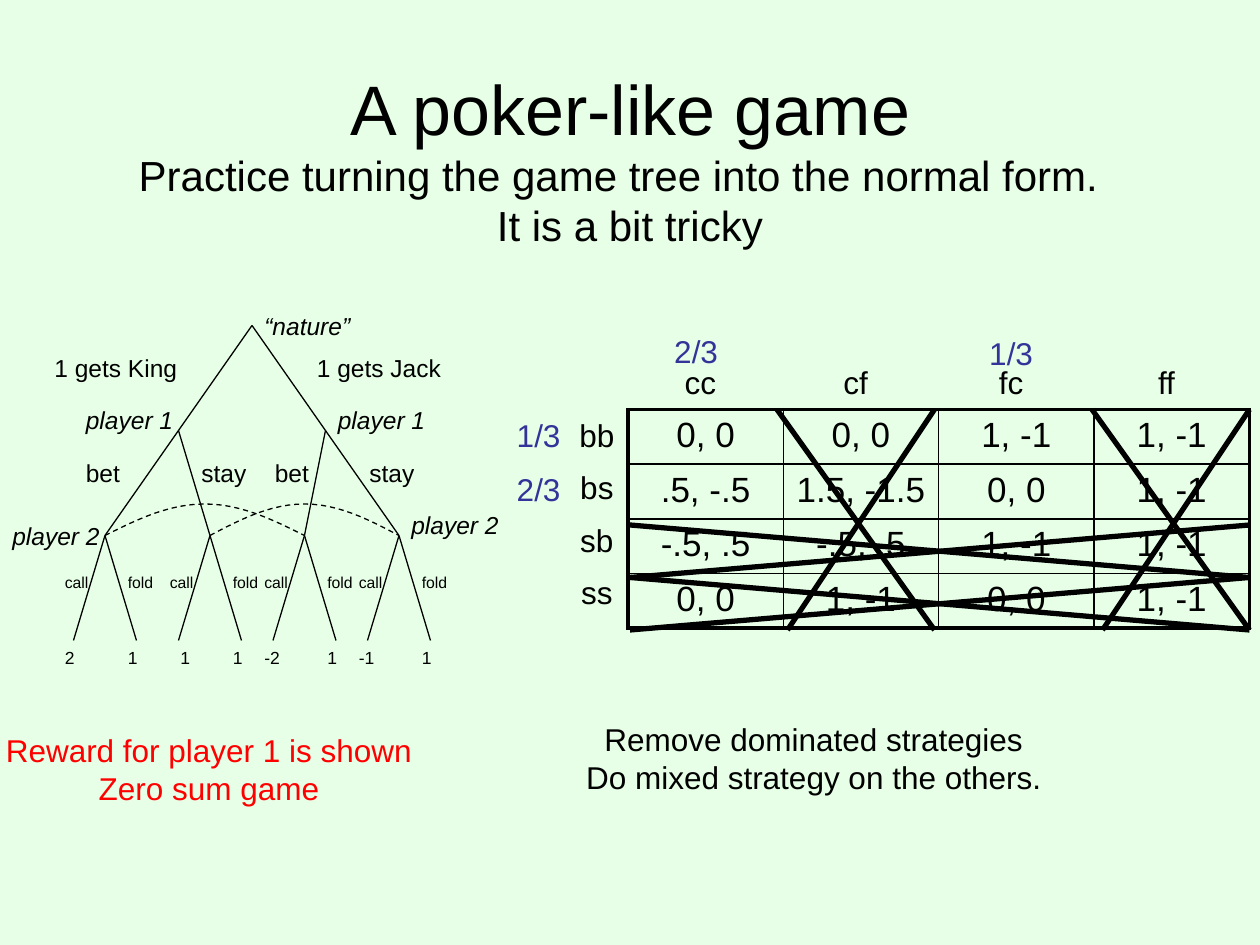
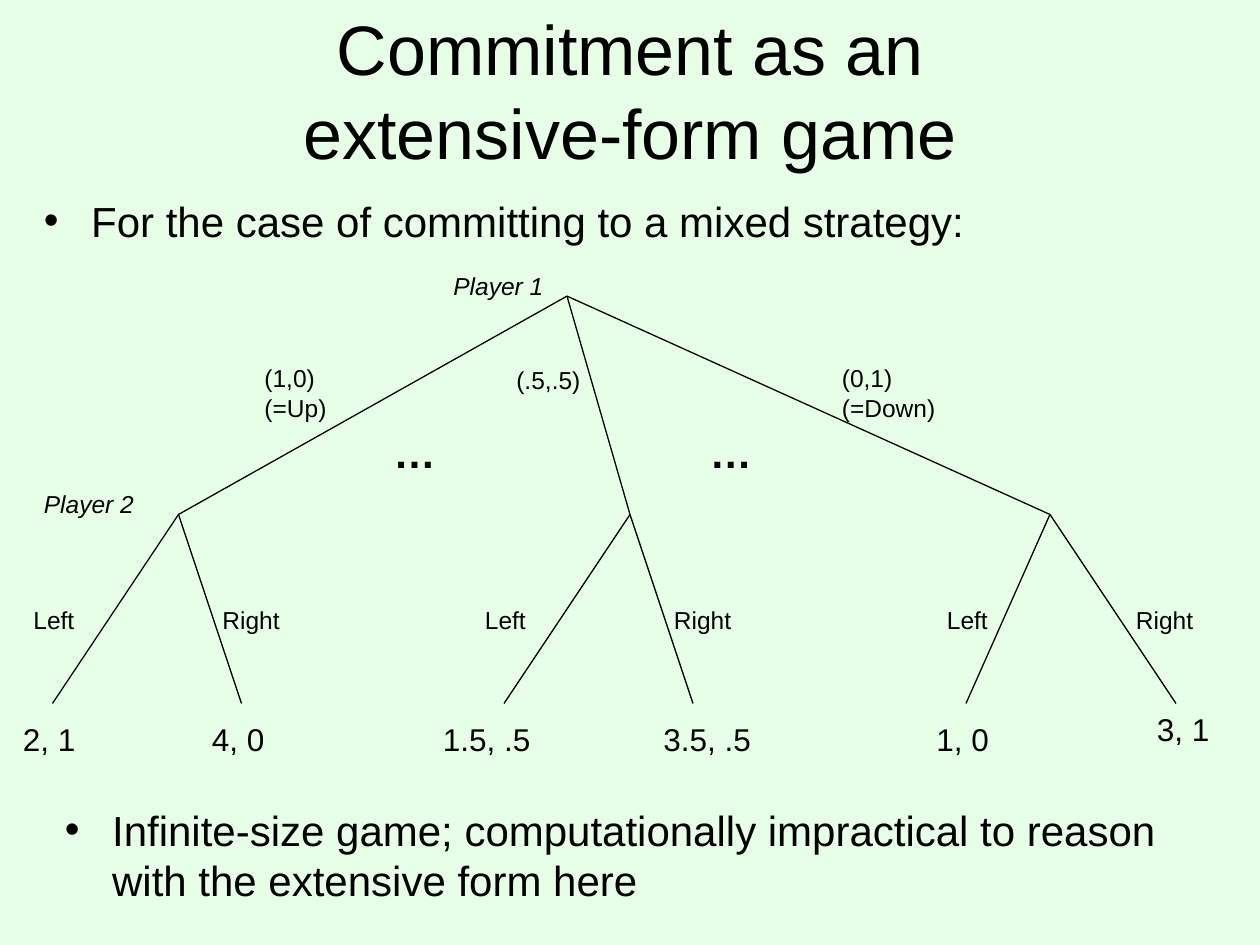
from dataclasses import dataclass
from math import pi, sin

from lxml.etree import SubElement
from pptx import Presentation
from pptx.dml.color import RGBColor
from pptx.enum.dml import MSO_LINE
from pptx.enum.shapes import MSO_CONNECTOR
from pptx.enum.text import MSO_ANCHOR, PP_ALIGN
from pptx.oxml import parse_xml
from pptx.oxml.ns import nsdecls, qn
from pptx.util import Emu, Inches, Pt

GRID = Inches(1) // 12
COLUMNS, ROWS = 120, 90


@dataclass(frozen=True)
class Theme:
    font: str = "Arial"
    background: str = "E7FFE7"
    ink: str = "000000"
    probability: str = "333399"
    reward: str = "FF0000"
    title: int = 40
    body: int = 24
    cell: int = 20
    note: int = 18
    label: int = 14
    payoff: int = 10
    action: int = 9
    thin: float = 0.75
    inner_border: float = 1
    outer_border: float = 2.25
    strike: float = 3


THEME = Theme()


def grid(units):
    return Emu(round(units * GRID))


def color(code):
    return RGBColor.from_string(code)


def write(paragraph, text, size, ink=THEME.ink, bold=False, italic=False):
    run = paragraph.add_run()
    run.text = text
    font = run.font
    font.name, font.size, font.bold, font.italic = THEME.font, Pt(size), bold, italic
    font.color.rgb = color(ink)


@dataclass
class Region:
    """A part of a slide whose contents are placed in grid units from its corner."""
    slide: object
    left: float = 0
    top: float = 0

    def place(self, x, y):
        return grid(self.left + x), grid(self.top + y)

    def frame(self, x, y, width, height):
        box = self.slide.shapes.add_textbox(*self.place(x, y), grid(width), grid(height))
        box.text_frame.word_wrap = True
        return box.text_frame

    def text(self, x, y, width, text, size=THEME.label, height=4, italic=False):
        paragraph = self.frame(x, y, width, height).paragraphs[0]
        write(paragraph, text, size, italic=italic)

    def centered(self, x, y, lines, width=6, size=THEME.note, ink=THEME.ink, bold=False):
        """Write lines that are centred on column x."""
        frame = self.frame(x - width / 2, y, width, 5 * len(lines))
        frame.margin_left = frame.margin_right = 0
        for index, line in enumerate(lines):
            paragraph = frame.add_paragraph() if index else frame.paragraphs[0]
            paragraph.alignment = PP_ALIGN.CENTER
            write(paragraph, line, size, ink, bold)

    def line(self, start, end, weight=THEME.thin):
        connector = self.slide.shapes.add_connector(
            MSO_CONNECTOR.STRAIGHT, *self.place(*start), *self.place(*end))
        connector.line.color.rgb = color(THEME.ink)
        connector.line.width = Pt(weight)
        SubElement(connector.element.spPr, qn("a:effectLst"))

    def cross(self, top_left, top_right, bottom_left, bottom_right):
        self.line(top_left, bottom_right, THEME.strike)
        self.line(top_right, bottom_left, THEME.strike)

    def information_set(self, start, end, y, rise=3, steps=24):
        """Join two nodes that the player cannot tell apart with a dashed arch."""
        points = [self.place(start + (end - start) * i / steps,
                             y - rise * sin(pi * i / steps)) for i in range(steps + 1)]
        builder = self.slide.shapes.build_freeform(*points[0])
        builder.add_line_segments(points[1:], close=False)
        arch = builder.convert_to_shape()
        arch.shadow.inherit = False
        arch.fill.background()
        arch.line.color.rgb = color(THEME.ink)
        arch.line.width = Pt(THEME.thin)
        arch.line.dash_style = MSO_LINE.DASH


def new_slide(deck):
    slide = deck.slides.add_slide(deck.slide_layouts[6])
    fill = slide.background.fill
    fill.solid()
    fill.fore_color.rgb = color(THEME.background)
    return slide


def add_title(region, width, height, lines):
    """Write title lines, each given as text, size and right indent."""
    frame = region.frame(0, 0, width, height)
    frame.vertical_anchor = MSO_ANCHOR.MIDDLE
    for index, (text, size, right_indent) in enumerate(lines):
        paragraph = frame.add_paragraph() if index else frame.paragraphs[0]
        paragraph.alignment = PP_ALIGN.CENTER
        paragraph._p.get_or_add_pPr().set("marR", str(grid(right_indent)))
        write(paragraph, text, size)


def add_bullet(region, text):
    paragraph = region.frame(0, 0, 110, 11).paragraphs[0]
    paragraph.space_before = Pt(3)
    properties = paragraph._p.get_or_add_pPr()
    indent = Pt(27)
    properties.set("marL", str(indent))
    properties.set("indent", str(-indent))
    SubElement(properties, qn("a:buFont"), typeface=THEME.font)
    SubElement(properties, qn("a:buChar"), char="•")
    write(paragraph, text, THEME.body)


def add_poker_tree(region):
    root, deal_y, bet_y, end_y = (24, 2), 12, 22, 32
    # each deal: node column, then the columns of player 2's nodes
    deals = [(17, (10, 20)), (31, (29, 38))]
    # payoffs as (column, value), in pairs under player 2's nodes
    payoffs = {10: ((5, "2"), (11, "1")), 20: ((16, "1"), (21, "1")),
               29: ((24, "-2"), (30, "1")), 38: ((33, "-1"), (39, "1"))}
    for deal_x, replies in deals:
        region.line(root, (deal_x, deal_y))
        for reply_x in replies:
            region.line((deal_x, deal_y), (reply_x, bet_y))
            for side in (-3, 3):
                region.line((reply_x, bet_y), (reply_x + side, end_y))
            region.text(reply_x - 5, 25, 6, "call", THEME.action, 3)
            region.text(reply_x + 1, 25, 7, "fold", THEME.action, 3)
            for x, value in payoffs[reply_x]:
                region.text(x, end_y, 4, value, THEME.payoff, 3)
    for start, end in ((10, 29), (20, 38)):
        region.information_set(start, end, bet_y)
    for x, y, move in ((4, 4, "1 gets King"), (29, 4, "1 gets Jack"), (7, 14, "bet"),
                       (18, 14, "stay"), (25, 14, "bet"), (34, 14, "stay")):
        region.text(x, y, 15 if y == 4 else 7, move)
    for x, y, mover in ((24, 0, "“nature”"), (31, 9, "player 1"), (7, 9, "player 1"),
                        (0, 20, "player 2"), (38, 19, "player 2")):
        region.text(x, y, 12, mover, italic=True)


def border_cell(cell, row, column, last):
    properties = cell._tc.get_or_add_tcPr()
    outer_sides = {"L": column == 0, "R": column == last,
                   "T": row == 0, "B": row == last}
    for index, (side, outer) in enumerate(outer_sides.items()):
        weight = Pt(THEME.outer_border if outer else THEME.inner_border)
        properties.insert(index, parse_xml(
            f'<a:ln{side} {nsdecls("a")} w="{weight}"><a:solidFill>'
            f'<a:srgbClr val="{THEME.ink}"/></a:solidFill></a:ln{side}>'))


def add_payoff_table(region, payoffs):
    size = len(payoffs)
    table = region.slide.shapes.add_table(
        size, size, *region.place(0, 0), grid(14.8 * size), grid(5.2 * size)).table
    table.first_row = table.horz_banding = False
    for r, row in enumerate(payoffs):
        for c, payoff in enumerate(row):
            cell = table.cell(r, c)
            cell.fill.background()
            cell.vertical_anchor = MSO_ANCHOR.TOP
            border_cell(cell, r, c, size - 1)
            paragraph = cell.text_frame.paragraphs[0]
            paragraph.alignment = PP_ALIGN.CENTER
            write(paragraph, payoff, THEME.cell)


def add_normal_form(region):
    add_payoff_table(Region(region.slide, region.left + 11.8, region.top + 8), [
        ("0, 0", "0, 0", "1, -1", "1, -1"),
        (".5, -.5", "1.5, -1.5", "0, 0", "1, -1"),
        ("-.5, .5", "-.5, .5", "1, -1", "1, -1"),
        ("0, 0", "1, -1", "0, 0", "1, -1"),
    ])
    for index, strategy in enumerate(("cc", "cf", "fc", "ff")):
        region.centered(18.7 + 14.8 * index, 3, [strategy])
    for index, strategy in enumerate(("bb", "bs", "sb", "ss")):
        region.centered(8.85, 8 + 5 * index, [strategy])
    for left in (26, 56):
        region.cross((left, 8), (left + 15, 8), (left + 1, 29), (left + 15, 29))
    for top in (19, 24):
        region.cross((12, top), (71, top), (12, top + 5), (71, top + 5))
    for x, y, share in ((18.3, 0, "2/3"), (48.3, 0.2, "1/3"),
                        (3.3, 8, "1/3"), (3.3, 13.2, "2/3")):
        region.centered(x, y, [share], ink=THEME.probability)


def add_commitment_tree(region):
    root, reply_y, end_y = (54, 3.2), 24, 42
    # each reply: leaf column, label and its column, payoff and its place
    commitments = {
        17: ((5, "Left", 2, "2, 1", 1, 43), (23, "Right", 20, "4, 0", 19, 43)),
        60: ((48, "Left", 45, "1.5, .5", 41, 43), (66, "Right", 63, "3.5, .5", 62, 43)),
        100: ((92, "Left", 89, "1, 0", 88, 43), (112, "Right", 107, "3, 1", 109, 42)),
    }
    for reply_x, replies in commitments.items():
        region.line(root, (reply_x, reply_y))
        for leaf_x, move, move_x, payoff, payoff_x, payoff_y in replies:
            region.line((reply_x, reply_y), (leaf_x, end_y))
            region.text(move_x, 32, 9, move)
            region.text(payoff_x, payoff_y, 11, payoff, THEME.note, 5)
    for x, y, mover in ((42, 0.2, "Player 1"), (3, 21, "Player 2")):
        region.text(x, y, 12, mover, italic=True)
    for x, y, width, mix in ((24, 9, 10, "(1,0) (=Up)"), (48, 9.2, 12, "(.5,.5)"),
                             (79, 9, 12, "(0,1) (=Down)")):
        region.text(x, y, width, mix, height=7)
    for x in (39.5, 69.6):
        region.centered(x, 15, ["…"], size=THEME.body, bold=True)


def build_poker_slide(slide):
    add_title(Region(slide, 6, 5), 108, 20, [
        ("A poker-like game", THEME.title, 0),
        ("Practice turning the game tree into the normal form.", THEME.body, 2.2),
        ("It is a bit tricky", THEME.body, 0)])
    add_poker_tree(Region(slide, 0, 29))
    add_normal_form(Region(slide, 48, 31))
    notes = Region(slide, 0, 68)
    notes.centered(77.5, 0, ["Remove dominated strategies",
                             "Do mixed strategy on the others."], width=61)
    notes.centered(19.9, 1, ["Reward for player 1 is shown", "Zero sum game"],
                   width=39.8, ink=THEME.reward)


def build_commitment_slide(slide):
    add_title(Region(slide, 16, 3), 88, 11,
              [("Commitment as an extensive-form game", THEME.title, 0)])
    add_bullet(Region(slide, 3, 18), "For the case of committing to a mixed strategy:")
    add_commitment_tree(Region(slide, 0, 25))
    add_bullet(Region(slide, 5, 76), "Infinite-size game; computationally impractical "
                                     "to reason with the extensive form here")


def main():
    deck = Presentation()
    deck.slide_width, deck.slide_height = grid(COLUMNS), grid(ROWS)
    build_poker_slide(new_slide(deck))
    build_commitment_slide(new_slide(deck))
    deck.save("out.pptx")


if __name__ == "__main__":
    main()
